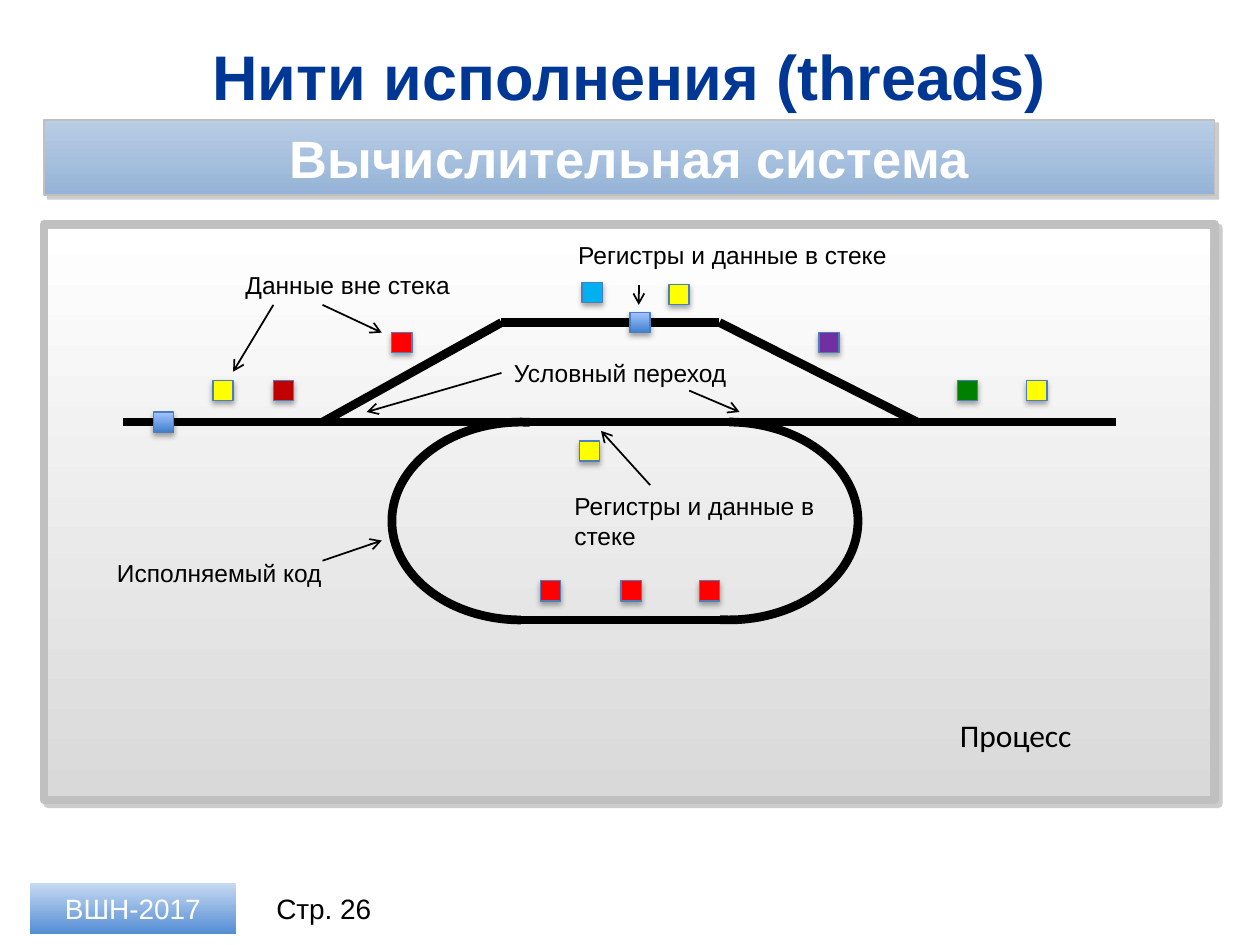
from pptx import Presentation
from pptx.dml.color import RGBColor
from pptx.enum.shapes import MSO_CONNECTOR, MSO_SHAPE
from pptx.enum.text import MSO_ANCHOR, PP_ALIGN
from pptx.oxml.ns import qn
from pptx.util import Inches, Pt
from lxml import etree

STRAIGHT = MSO_CONNECTOR.STRAIGHT
RECTANGLE, ARC = MSO_SHAPE.RECTANGLE, MSO_SHAPE.ARC
TOP, MIDDLE = MSO_ANCHOR.TOP, MSO_ANCHOR.MIDDLE
LEFT, CENTER = PP_ALIGN.LEFT, PP_ALIGN.CENTER

BLACK = RGBColor(0x00, 0x00, 0x00)
WHITE = RGBColor(0xFF, 0xFF, 0xFF)
NAVY = RGBColor(0x00, 0x37, 0x94)
SILVER = RGBColor(0xC0, 0xC0, 0xC0)
PALE_GRAY = RGBColor(0xD9, 0xD9, 0xD9)
BANNER_TOP = RGBColor(0xB9, 0xCD, 0xE5)
BANNER_BOTTOM = RGBColor(0x95, 0xB3, 0xD7)
BADGE_TOP = RGBColor(0xC6, 0xD9, 0xF1)
BADGE_BOTTOM = RGBColor(0x55, 0x8E, 0xD5)
TRAIN_TOP = RGBColor(0xA4, 0xC4, 0xFF)
TRAIN_BOTTOM = RGBColor(0x3F, 0x80, 0xCE)
OUTLINE = RGBColor(0x4B, 0x7E, 0xBC)
RED = RGBColor(0xFF, 0x00, 0x00)
DARK_RED = RGBColor(0xC0, 0x00, 0x00)
YELLOW = RGBColor(0xFF, 0xFF, 0x00)
SKY = RGBColor(0x00, 0xB0, 0xF0)
PURPLE = RGBColor(0x70, 0x30, 0xA0)
GREEN = RGBColor(0x00, 0x80, 0x00)

# Shadows: colour, opacity %, blur pt, distance pt, direction in degrees
FRAME_SHADOW = ("808080", 40, 0, 3, 45)
CARGO_SHADOW = ("000000", 35, 3.1, 1.8, 90)

prs = Presentation()
prs.slide_width, prs.slide_height = Inches(10), Inches(7.5)
slide = prs.slides.add_slide(prs.slide_layouts[5])
shapes = slide.shapes


def add_box(left, top, width, height, colors, line=None, weight=0, shadow=None):
    """Rectangle with one colour, or with two that run from top to bottom."""
    box = shapes.add_shape(RECTANGLE, Inches(left), Inches(top), Inches(width), Inches(height))
    if len(colors) == 1:
        box.fill.solid()
        box.fill.fore_color.rgb = colors[0]
    else:
        box.fill.gradient()
        box.fill.gradient_angle = 270
        for stop, color in zip(box.fill.gradient_stops, colors):
            stop.color.rgb = color
    if line is None:
        box.line.fill.background()
    else:
        box.line.color.rgb = line
        box.line.width = Pt(weight)
    box.shadow.inherit = False
    if shadow:
        color, opacity, blur, distance, direction = shadow
        effects = box._element.spPr.find(qn("a:effectLst"))
        outer = etree.SubElement(
            effects, qn("a:outerShdw"), blurRad=str(Pt(blur)), dist=str(Pt(distance)),
            dir=str(direction * 60000), algn="ctr", rotWithShape="0")
        tone = etree.SubElement(outer, qn("a:srgbClr"), val=color)
        etree.SubElement(tone, qn("a:alpha"), val=str(opacity * 1000))
    return box


def write(shape, text, size, color=BLACK, font="Arial", bold=False, align=CENTER, anchor=MIDDLE):
    frame = shape.text_frame
    frame.text = text
    frame.word_wrap = True
    frame.vertical_anchor = anchor
    frame.paragraphs[0].alignment = align
    style = frame.paragraphs[0].runs[0].font
    style.name, style.size, style.bold = font, Pt(size), bold
    style.color.rgb = color


title = shapes.title
title.left, title.top, title.width, title.height = map(Inches, (0.35, 0.26, 9.29, 0.68))
write(title, "Нити исполнения (threads)", 36, NAVY, bold=True)

banner = add_box(0.35, 0.95, 9.29, 0.6, (BANNER_TOP, BANNER_BOTTOM), SILVER, 1, FRAME_SHADOW)
write(banner, "Вычислительная система", 30, WHITE, bold=True)
badge = add_box(0.24, 7.01, 1.63, 0.4, (BADGE_TOP, BADGE_BOTTOM))
write(badge, "ВШН-2017", 16, WHITE)
page = shapes.add_textbox(Inches(2.03), Inches(7.01), Inches(1.08), Inches(0.4))
write(page, "Стр. 26", 16)

add_box(0.35, 1.78, 9.29, 4.57, (WHITE, PALE_GRAY), SILVER, 5, FRAME_SHADOW)

# Tracks and pointers: x1, y1, x2, y2
tracks = [
    (0.98, 3.35, 8.86, 3.35),
    (2.56, 3.35, 3.98, 2.56),
    (3.98, 2.56, 5.71, 2.56),
    (5.71, 2.56, 7.28, 3.35),
    (5.75, 4.92, 4.06, 4.92),
]
pointers = [
    (2.56, 4.45, 3.03, 4.29),
    (2.17, 2.42, 1.85, 2.95),
    (2.56, 2.42, 3.03, 2.64),
    (3.98, 2.96, 2.91, 3.27),
    (5.47, 3.1, 5.87, 3.27),
    (5.16, 3.85, 4.77, 3.42),
    (5.07, 2.26, 5.07, 2.42),
]
for ends in tracks + pointers:
    connector = shapes.add_connector(STRAIGHT, *map(Inches, ends))
    connector.line.color.rgb = BLACK
    connector.line.width = Pt(5 if ends in tracks else 1)
    if ends in pointers:
        etree.SubElement(connector.line._get_or_add_ln(), qn("a:tailEnd"), type="arrow")
    etree.SubElement(connector._element.spPr, qn("a:effectLst"))

# Half-circle ends of the loop
for left, rotation in ((4.76, 0), (3.11, 180)):
    bend = shapes.add_shape(ARC, Inches(left), Inches(3.35), Inches(2.05), Inches(1.57))
    bend.adjustments[0], bend.adjustments[1] = 162, 57.08
    bend.rotation = rotation
    bend.fill.background()
    bend.line.color.rgb = BLACK
    bend.line.width = Pt(5)
    bend.shadow.inherit = False

TRAIN = (TRAIN_TOP, TRAIN_BOTTOM)
cargo = [
    (1.22, 3.27, TRAIN), (5, 2.48, TRAIN),
    (1.69, 3.02, (YELLOW,)), (2.17, 3.02, (DARK_RED,)),
    (3.11, 2.64, (RED,)), (4.62, 2.24, (SKY,)),
    (5.31, 2.26, (YELLOW,)), (6.5, 2.64, (PURPLE,)),
    (7.6, 3.02, (GREEN,)), (8.15, 3.02, (YELLOW,)),
    (4.6, 3.5, (YELLOW,)), (4.29, 4.61, (RED,)),
    (4.93, 4.61, (RED,)), (5.55, 4.61, (RED,)),
]
for left, top, colors in cargo:
    add_box(left, top, 0.16, 0.16, colors, OUTLINE, 0.75, CARGO_SHADOW)

labels = [
    ("Регистры и данные в стеке", 4.49, 1.86, 3.27, 0.34, 14, "Arial"),
    ("Данные вне стека", 1.85, 2.09, 2.13, 0.34, 14, "Arial"),
    ("Условный переход", 3.98, 2.79, 2.05, 0.34, 14, "Arial"),
    ("Регистры и данные в стеке", 4.46, 3.85, 2.13, 0.57, 14, "Arial"),
    ("Исполняемый код", 0.83, 4.38, 3.15, 0.34, 14, "Arial"),
    ("Процесс", 7.52, 5.63, 1.73, 0.4, 18, "Calibri"),
]
for text, left, top, width, height, size, font in labels:
    label = shapes.add_textbox(Inches(left), Inches(top), Inches(width), Inches(height))
    write(label, text, size, font=font, align=LEFT, anchor=TOP)

prs.save("out.pptx")
